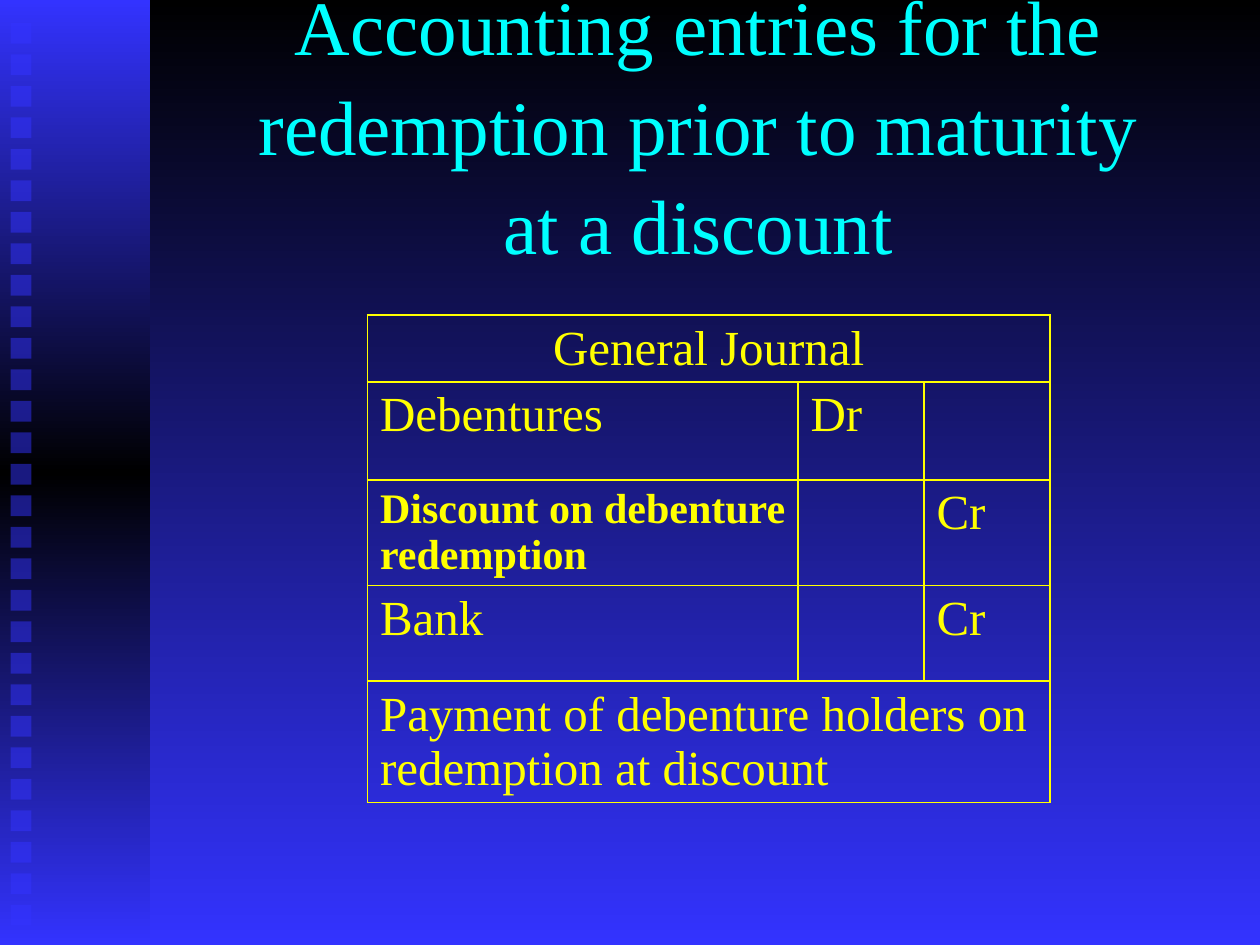
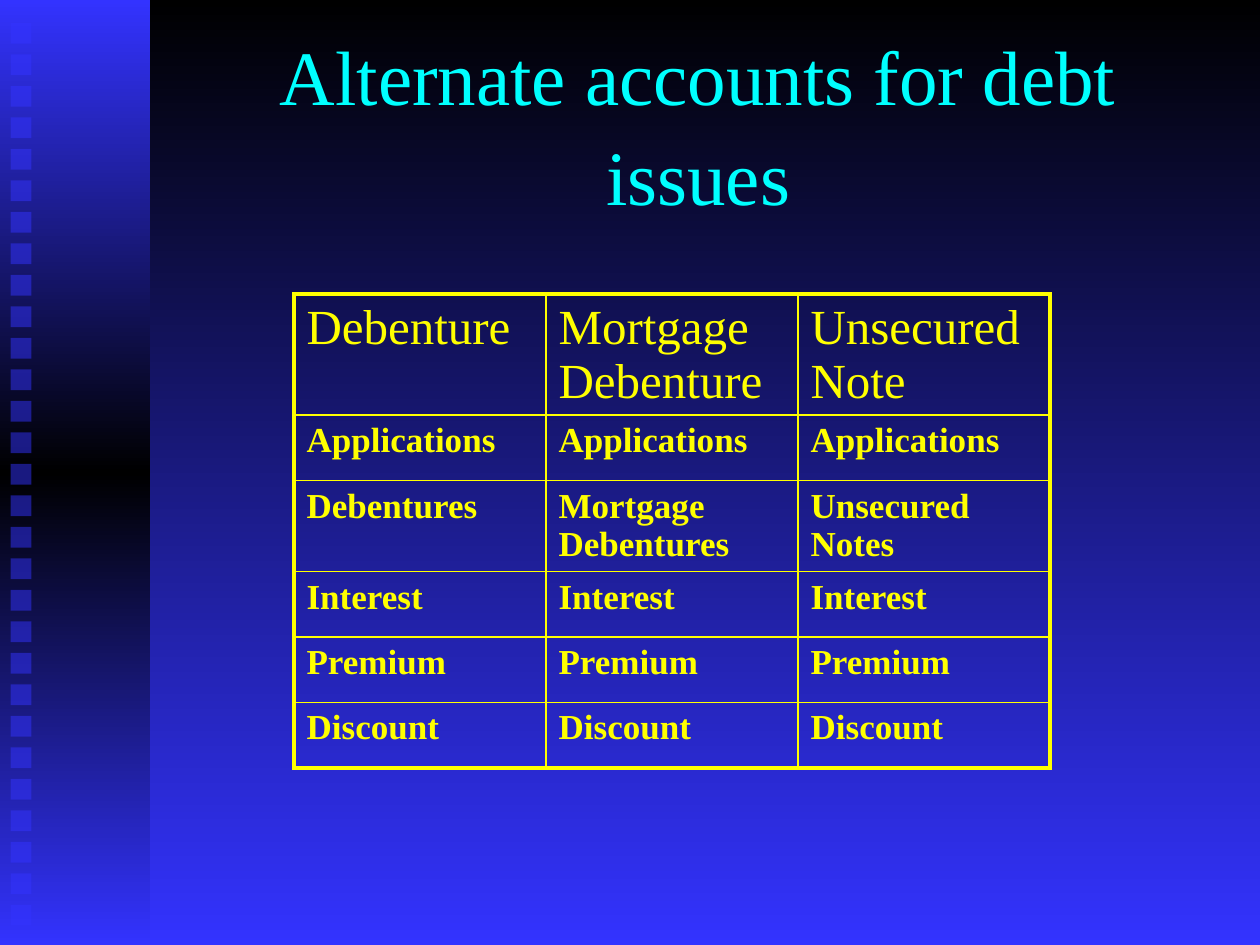
from copy import deepcopy

from lxml.etree import SubElement
from pptx import Presentation
from pptx.dml.color import RGBColor
from pptx.enum.shapes import MSO_SHAPE
from pptx.enum.text import MSO_ANCHOR, MSO_AUTO_SIZE, PP_ALIGN
from pptx.oxml.ns import qn
from pptx.util import Pt

BLACK, BLUE, CYAN, YELLOW = "000000", "3333FF", "00FFFF", "FFFF00"
FONT = "Times New Roman"
TITLE_ONLY = 5
THIN, THICK = 1, 2.25


def rgb(colour):
    return RGBColor.from_string(colour)


def fill_downwards(fill, holder, colours):
    fill.gradient()
    fill.gradient_angle = 270
    stop_list = next(holder.iter(qn("a:gsLst")))
    while len(stop_list) < len(colours):
        stop_list.append(deepcopy(stop_list[-1]))
    for index, (stop, colour) in enumerate(zip(fill.gradient_stops, colours)):
        stop.color.rgb = rgb(colour)
        stop.position = index / (len(colours) - 1)


class Deck:
    def __init__(self):
        self.presentation = Presentation()
        self.presentation.slide_width = Pt(720)
        self.presentation.slide_height = Pt(540)
        self.slide = None

    def start(self, title):
        layout = self.presentation.slide_layouts[TITLE_ONLY]
        self.slide = self.presentation.slides.add_slide(layout)
        fill_downwards(self.slide.background.fill, self.slide.element, [BLACK, BLUE])
        self.side_band()
        self.title(title)

    def rectangle(self, left, top, width, height):
        box = self.slide.shapes.add_shape(
            MSO_SHAPE.RECTANGLE, Pt(left), Pt(top), Pt(width), Pt(height))
        box.shadow.inherit = False
        box.line.fill.background()
        return box

    def side_band(self):
        band = self.rectangle(0, 0, 85.7, 540)
        fill_downwards(band.fill, band.element, [BLUE, BLACK, BLUE])
        for step in range(29):
            square = self.rectangle(6, 13 + 18 * step, 12, 12)
            square.fill.solid()
            square.fill.fore_color.rgb = rgb(BLUE)
            colour = next(square.element.spPr.iter(qn("a:srgbClr")))
            SubElement(colour, qn("a:alpha"), val="50000")

    def style(self, paragraph, size, colour, bold=False, align=PP_ALIGN.LEFT):
        paragraph.alignment = align
        for run in paragraph.runs:
            run.font.name = FONT
            run.font.size = Pt(size)
            run.font.bold = bold
            run.font.color.rgb = rgb(colour)

    def title(self, text):
        heading = self.slide.shapes.title
        heading.left, heading.top = Pt(120), Pt(18)
        heading.width, heading.height = Pt(558), Pt(102)
        frame = heading.text_frame
        frame.text = text
        frame.word_wrap = True
        frame.auto_size = MSO_AUTO_SIZE.NONE
        frame.vertical_anchor = MSO_ANCHOR.MIDDLE
        frame.paragraphs[0].line_spacing = 1.08
        self.style(frame.paragraphs[0], 44, CYAN, align=PP_ALIGN.CENTER)

    def border(self, cell, side, width):
        properties = cell._tc.get_or_add_tcPr()
        line = SubElement(properties, qn(f"a:ln{side}"), w=str(Pt(width)))
        solid = SubElement(line, qn("a:solidFill"))
        SubElement(solid, qn("a:srgbClr"), val=YELLOW)

    def table(self, left, top, widths, heights, rows, small, small_size,
              centred=(), outline=THIN):
        grid = self.slide.shapes.add_table(
            len(rows), len(widths), Pt(left), Pt(top),
            Pt(sum(widths)), Pt(sum(heights))).table
        grid.first_row = grid.horz_banding = False
        for column, width in zip(grid.columns, widths):
            column.width = Pt(width)
        for row, height in zip(grid.rows, heights):
            row.height = Pt(height)
        last_row, last_column = len(rows) - 1, len(widths) - 1
        for r, texts in enumerate(rows):
            for c, text in enumerate(texts):
                cell = grid.cell(r, c)
                outer = {"L": c == 0, "R": c == last_column,
                         "T": r == 0, "B": r == last_row}
                for side, is_outer in outer.items():
                    self.border(cell, side, outline if is_outer else THIN)
                cell.fill.background()
                if text:
                    cell.text_frame.text = text
                    self.style(cell.text_frame.paragraphs[0],
                               small_size if text in small else 28, YELLOW,
                               bold=text in small,
                               align=PP_ALIGN.CENTER if text in centred else PP_ALIGN.LEFT)
            if None in texts:
                grid.cell(r, 0).merge(grid.cell(r, last_column))


def main():
    deck = Deck()

    deck.start("Accounting entries for the redemption prior to maturity at a discount")
    journal = [
        ["General Journal", None, None],
        ["Debentures", "Dr", ""],
        ["Discount on debenture redemption", "", "Cr"],
        ["Bank", "", "Cr"],
        ["Payment of debenture holders on redemption at discount", None, None],
    ]
    deck.table(210, 180, [246, 72, 72], [38.2, 56, 60.2, 54.8, 69.2], journal,
               small=[journal[2][0]], small_size=24, centred=journal[0][:1])

    deck.start("Alternate accounts for debt issues")
    issues = ["Debenture", "Mortgage Debenture", "Unsecured Note"]
    accounts = [
        ["Applications"] * 3,
        [f"{issue}s" for issue in issues],
        ["Interest"] * 3,
        ["Premium"] * 3,
        ["Discount"] * 3,
    ]
    deck.table(168, 168, [144] * 3, [69.2, 37.4, 52, 37.4, 37.4, 37.4],
               [issues] + accounts, small=sum(accounts, []), small_size=20,
               outline=THICK)

    deck.presentation.save("out.pptx")


if __name__ == "__main__":
    main()
